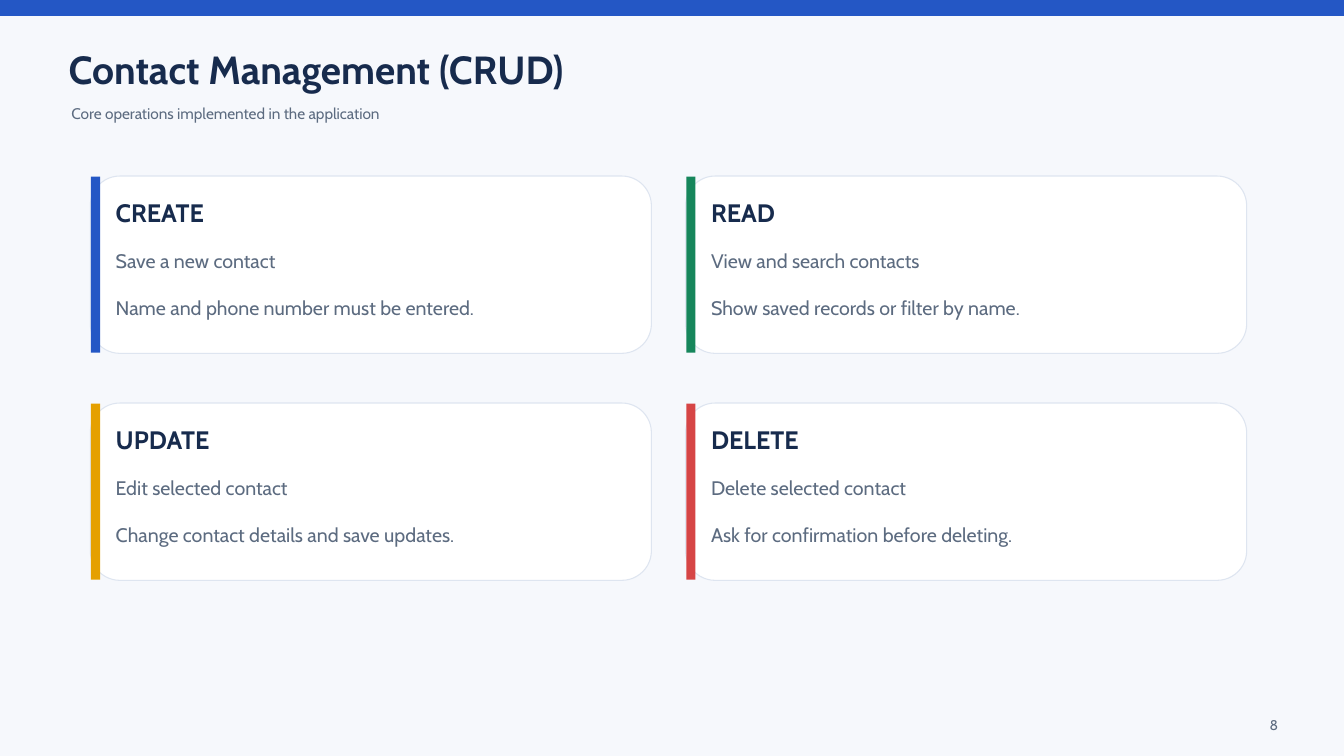
import pptx
import pptx.util
import pptx.dml.color
import pptx.enum.shapes
import pptx.enum.text

Pt = pptx.util.Pt
RGBColor = pptx.dml.color.RGBColor
MSO_SHAPE = pptx.enum.shapes.MSO_SHAPE
PP_ALIGN = pptx.enum.text.PP_ALIGN

BACKGROUND = RGBColor(0xF6, 0xF8, 0xFC)
WHITE = RGBColor(0xFF, 0xFF, 0xFF)
BORDER = RGBColor(0xDE, 0xE5, 0xF0)
NAVY = RGBColor(0x17, 0x2B, 0x4D)
GREY = RGBColor(0x5C, 0x6B, 0x80)
BLUE = RGBColor(0x24, 0x57, 0xC5)
GREEN = RGBColor(0x16, 0x86, 0x5B)
AMBER = RGBColor(0xE5, 0xA0, 0x00)
RED = RGBColor(0xD6, 0x45, 0x45)

FONT = "Cabin"
WIDTH, HEIGHT = 1440, 810

CARDS = [
    ("CREATE", "Save a new contact", "Name and phone number must be entered.", BLUE),
    ("READ", "View and search contacts", "Show saved records or filter by name.", GREEN),
    ("UPDATE", "Edit selected contact", "Change contact details and save updates.", AMBER),
    ("DELETE", "Delete selected contact", "Ask for confirmation before deleting.", RED),
]


def add_text(s, text, *, box, size, leading, color=GREY, bold=False,
             align=PP_ALIGN.LEFT, gap=0):
    tf = s.shapes.add_textbox(*map(Pt, box)).text_frame
    tf.margin_left = tf.margin_right = tf.margin_top = tf.margin_bottom = 0
    tf.word_wrap = True
    for i, line in enumerate(text.split("\n")):
        p = tf.paragraphs[0] if i == 0 else tf.add_paragraph()
        p.alignment = align
        p.line_spacing = Pt(leading)
        if i:
            p.space_before = Pt(gap)
        r = p.add_run()
        r.text = line
        r.font.name = FONT
        r.font.size = Pt(size)
        r.font.bold = bold
        r.font.color.rgb = color


def add_block(s, kind, box, fill, line=None):
    sp = s.shapes.add_shape(kind, *map(Pt, box))
    sp.shadow.inherit = False
    sp.fill.solid()
    sp.fill.fore_color.rgb = fill
    if line is None:
        sp.line.fill.background()
    else:
        sp.line.color.rgb = line
        sp.line.width = Pt(1.13)
    return sp


def add_header(s, x, y, w):
    add_block(s, MSO_SHAPE.RECTANGLE, (x, y, w, 17), BLUE)
    add_text(s, "Contact Management (CRUD)", box=(x + 73.5, y + 48, 1269, 54),
             size=42, leading=50.4, color=NAVY, bold=True)
    add_text(s, "Core operations implemented in the application",
             box=(x + 76.5, y + 111, 1248, 26.5), size=16.5, leading=19.8)


def add_card(s, x, y, w, h, title, action, detail, accent):
    card = add_block(s, MSO_SHAPE.ROUNDED_RECTANGLE, (x, y, w, h), WHITE, BORDER)
    card.adjustments[0] = 1 / 6
    add_block(s, MSO_SHAPE.RECTANGLE, (x + 0.75, y + 0.75, 9.75, h - 1.5), accent)
    add_text(s, title, box=(x + 27.25, y + 22.75, w - 50, 39.75),
             size=27, leading=32.4, color=NAVY, bold=True)
    add_text(s, f"{action}\n{detail}", box=(x + 27.25, y + 78.5, w - 52, 96),
             size=21, leading=25.2, gap=25.2)


def add_card_grid(s, x, y, w, h):
    card_w, card_h = 601.2, 190
    for i, card in enumerate(CARDS):
        row, col = divmod(i, 2)
        add_card(s, x + col * (w - card_w), y + row * (h - card_h),
                 card_w, card_h, *card)


def add_page_number(s, x, y, w, h):
    add_text(s, "8", box=(x, y, w, h), size=15, leading=18, align=PP_ALIGN.RIGHT)


def main():
    prs = pptx.Presentation()
    prs.slide_width, prs.slide_height = Pt(WIDTH), Pt(HEIGHT)
    s = prs.slides.add_slide(prs.slide_layouts[6])
    s.background.fill.solid()
    s.background.fill.fore_color.rgb = BACKGROUND
    add_header(s, 0, 0, WIDTH)
    add_card_grid(s, 96.75, 188.6, 1239, 433.2)
    add_page_number(s, 1321.5, 768, 48, 16)
    prs.save("out.pptx")


if __name__ == "__main__":
    main()
